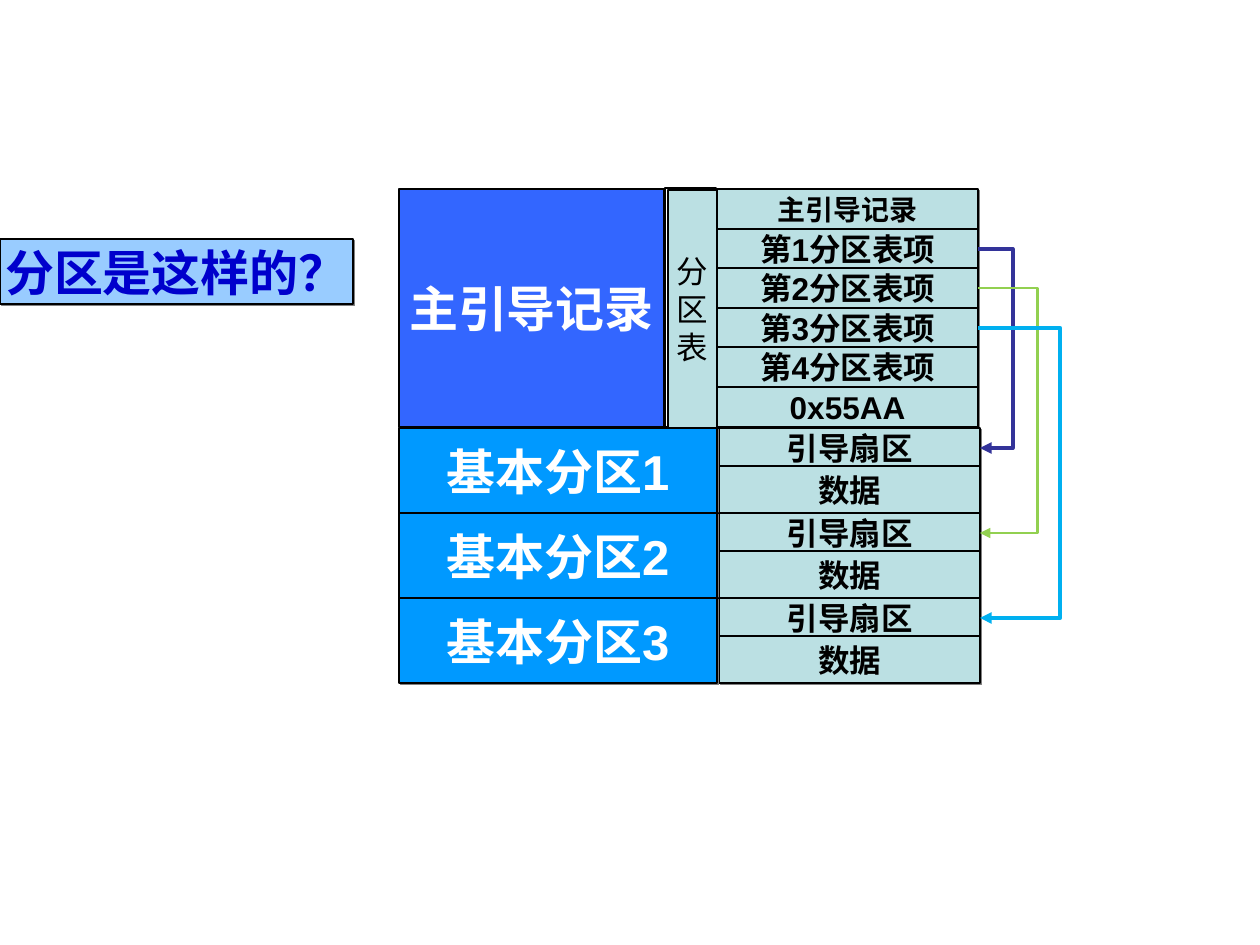
"""Draw a disk layout: the master boot record and three primary partitions."""
from dataclasses import dataclass

from lxml import etree
from pptx import Presentation
from pptx import util as u
from pptx.dml.color import RGBColor
from pptx.enum import shapes, text
from pptx.oxml import parse_xml
from pptx.oxml.ns import nsdecls, qn

PX = u.Inches(1) / 126
BLACK, WHITE, PALE, SKY = "000000", "FFFFFF", "BBE0E3", "0099FF"
ENTRY_LEFT, SECTOR_LEFT, CELL_WIDTH, ROW = 717, 719, 261, 40


@dataclass
class Block:
    """A bordered rectangle with its label, in px."""
    left: int
    top: int
    width: int
    height: int
    label: str = ""
    fill: str = PALE
    color: str = BLACK
    size: int = 18
    bold: bool = True
    shadow: bool = True


@dataclass
class Link:
    """An elbow arrow from a table entry to a boot sector."""
    bend: int
    color: str
    weight: float


LINKS = [Link(1013, "333399", 2.25), Link(1038, "92D050", 1.5), Link(1061, "00B0F0", 2.25)]


def px(length: int) -> int:
    """Turn px into EMU."""
    return round(length * PX)


def rgb(value: str) -> RGBColor:
    """Turn a hex string into a colour."""
    return RGBColor.from_string(value)


def add_shadow(box) -> None:
    """Give a box a hard grey shadow to the lower right."""
    box._element.spPr.append(parse_xml(
        f'<a:effectLst {nsdecls("a")}><a:outerShdw dist="17961" dir="2700000">'
        '<a:srgbClr val="808080"/></a:outerShdw></a:effectLst>'))


def draw_block(page, block: Block):
    """Draw one block and return its shape."""
    box = page.shapes.add_shape(shapes.MSO_SHAPE.RECTANGLE, px(block.left), px(block.top),
                                px(block.width), px(block.height))
    box.fill.solid()
    box.fill.fore_color.rgb = rgb(block.fill)
    box.line.color.rgb = rgb(BLACK)
    box.line.width = u.Pt(0.75)
    if block.shadow:
        add_shadow(box)
    else:
        box.shadow.inherit = False
    if block.label:
        frame = box.text_frame
        frame.text = block.label
        frame.word_wrap = False
        frame.vertical_anchor = text.MSO_ANCHOR.MIDDLE
        for para in frame.paragraphs:
            para.alignment = text.PP_ALIGN.CENTER
            para.font.name = "Arial"
            para.font.size = u.Pt(block.size)
            para.font.bold = block.bold
            para.font.color.rgb = rgb(block.color)
    return box


def draw_link(page, entry, sector, link: Link) -> None:
    """Join an entry to its sector with an arrow that bends right of both."""
    start, end = entry.left + entry.width, sector.left + sector.width
    line = page.shapes.add_connector(
        shapes.MSO_CONNECTOR.ELBOW, start, entry.top + entry.height // 2,
        end, sector.top + sector.height // 2)
    line.begin_connect(entry, 3)
    line.end_connect(sector, 3)
    line.line.color.rgb = rgb(link.color)
    line.line.width = u.Pt(link.weight)
    etree.SubElement(line.line._get_or_add_ln(), qn("a:tailEnd"), type="triangle")
    properties = line._element.spPr
    etree.SubElement(properties, qn("a:effectLst"))
    ratio = round((px(link.bend) - start) / (end - start) * 100000)
    guides = properties.find(qn("a:prstGeom")).get_or_add_avLst()
    etree.SubElement(guides, qn("a:gd"), name="adj1", fmla=f"val {ratio}")


def main() -> None:
    """Build and save the deck."""
    deck = Presentation()
    deck.slide_width, deck.slide_height = px(1260), px(945)
    page = deck.slides.add_slide(deck.slide_layouts[6])

    draw_block(page, Block(399, 189, 265, 238, "主引导记录", "3366FF", WHITE, 28))
    draw_block(page, Block(0, 239, 353, 65, "分区是这样的？", "99CCFF", "0000CC", 28))

    labels = ["主引导记录", *(f"第{number}分区表项" for number in range(1, 5)), "0x55AA"]
    entries = [
        draw_block(page, Block(ENTRY_LEFT, 189 + (row * 79 + 1) // 2, CELL_WIDTH, ROW, label,
                               size=18 if row else 16))
        for row, label in enumerate(labels)]
    draw_block(page, Block(665, 188, 51, 239, fill=WHITE, shadow=False))
    draw_block(page, Block(668, 190, 49, 238, "分\n区\n表", bold=False, shadow=False))

    sectors = []
    for index in range(len(LINKS)):
        top = 428 + 85 * index
        sectors.append(draw_block(page, Block(SECTOR_LEFT, top, CELL_WIDTH, ROW, "引导扇区")))
        draw_block(page, Block(SECTOR_LEFT, top + 38, CELL_WIDTH, 47, "数据"))
        draw_block(page, Block(399, top, 318, 85, f"基本分区{index + 1}", SKY, WHITE, 28))

    for entry, sector, link in zip(entries[1:], sectors, LINKS):
        draw_link(page, entry, sector, link)
    deck.save("out.pptx")


if __name__ == "__main__":
    main()
